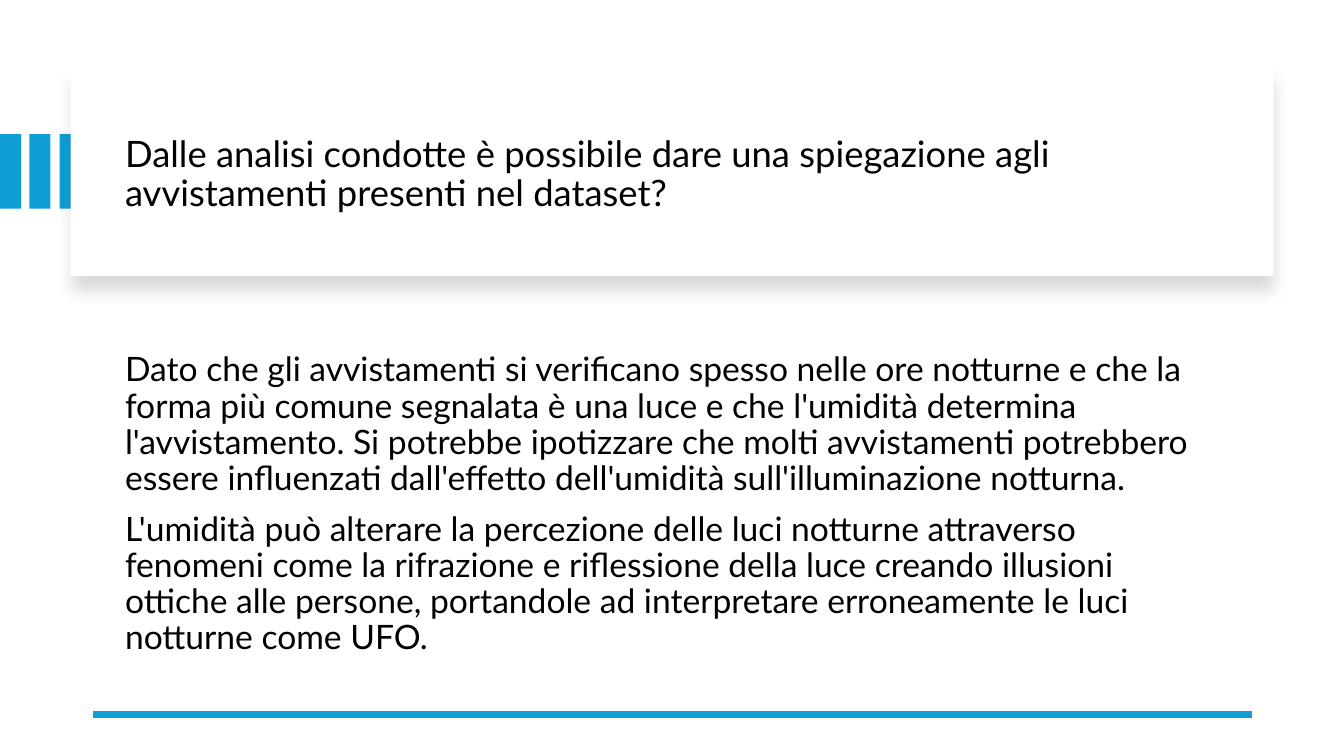
from lxml.etree import SubElement
from pptx import Presentation
from pptx.dml.color import RGBColor
from pptx.enum.shapes import MSO_CONNECTOR, MSO_SHAPE
from pptx.enum.text import MSO_ANCHOR, MSO_AUTO_SIZE, PP_ALIGN
from pptx.oxml import parse_xml
from pptx.oxml.ns import nsdecls, qn
from pptx.util import Emu, Pt

PX = 9144  # 100 px to the inch

THEME = {
    "font": "Lato",
    "text": RGBColor(0x00, 0x00, 0x00),
    "accent": RGBColor(0x0F, 0x9E, 0xD5),
    "card": RGBColor(0xFF, 0xFF, 0xFF),
    "title_size": Pt(26),
    "body_size": Pt(24),
    "paragraph_gap": Pt(10),
    "rule_width": Pt(4.5),
}

QUESTION = ("Dalle analisi condotte è possibile dare una spiegazione agli "
            "avvistamenti presenti nel dataset?")
ANSWERS = [
    "Dato che gli avvistamenti si verificano spesso nelle ore notturne e che la "
    "forma più comune segnalata è una luce e che l'umidità determina "
    "l'avvistamento. Si potrebbe ipotizzare che molti avvistamenti potrebbero "
    "essere influenzati dall'effetto dell'umidità sull'illuminazione notturna.",
    "L'umidità può alterare la percezione delle luci notturne attraverso "
    "fenomeni come la rifrazione e riflessione della luce creando illusioni "
    "ottiche alle persone, portandole ad interpretare erroneamente le luci "
    "notturne come UFO.",
]


def px(*lengths):
    return [Emu(length * PX) for length in lengths]


def add_block(shapes, box, color):
    """Add a plain filled rectangle without outline or inherited shadow."""
    block = shapes.add_shape(MSO_SHAPE.RECTANGLE, *px(*box))
    block.fill.solid()
    block.fill.fore_color.rgb = color
    block.line.fill.background()
    block.shadow.inherit = False
    return block


prs = Presentation()
prs.slide_width, prs.slide_height = px(1333, 750)
slide = prs.slides.add_slide(prs.slide_layouts[1])
title, body = slide.placeholders

# Accent bars, partly hidden by the card
bars = slide.shapes.add_group_shape()
for bar_left in (0, 29, 59):
    add_block(bars.shapes, (bar_left, 133, 21, 74), THEME["accent"])

# Title card with a soft shadow below
card = add_block(slide.shapes, (70, 67, 1193, 207), THEME["card"])
card_properties = card.element.spPr
card_properties.remove(card_properties.find(qn("a:effectLst")))
card_properties.append(parse_xml(
    f'<a:effectLst {nsdecls("a")}>'
    f'<a:outerShdw blurRad="{Pt(11)}" dist="{Pt(10)}" dir="5400000" '
    'algn="t" rotWithShape="0"><a:srgbClr val="000000">'
    '<a:alpha val="15000"/></a:srgbClr></a:outerShdw></a:effectLst>'))

# Question and answers, in front of the card
for holder, box, texts, size in (
    (title, (114, 89, 1087, 170), [QUESTION], THEME["title_size"]),
    (body, (114, 330, 1087, 342), ANSWERS, THEME["body_size"]),
):
    holder.element.getparent().append(holder.element)
    holder.left, holder.top, holder.width, holder.height = px(*box)
    frame = holder.text_frame
    frame.text = "\n".join(texts)
    frame.word_wrap = True
    frame.auto_size = MSO_AUTO_SIZE.NONE
    frame.vertical_anchor = MSO_ANCHOR.MIDDLE
    for position, paragraph in enumerate(frame.paragraphs):
        paragraph.alignment = PP_ALIGN.LEFT
        paragraph.line_spacing = 0.9
        paragraph.space_before = THEME["paragraph_gap"] if position else Pt(0)
        layout = paragraph._p.get_or_add_pPr()
        layout.set("marL", "0")
        layout.set("indent", "0")
        SubElement(layout, qn("a:buNone"))
        for run in paragraph.runs:
            run.font.name = THEME["font"]
            run.font.size = size
            run.font.color.rgb = THEME["text"]

# Closing rule
rule = slide.shapes.add_connector(MSO_CONNECTOR.STRAIGHT, *px(1242, 709, 92, 709))
rule.line.color.rgb = THEME["accent"]
rule.line.width = THEME["rule_width"]
SubElement(rule.element.spPr, qn("a:effectLst"))

prs.save("out.pptx")
